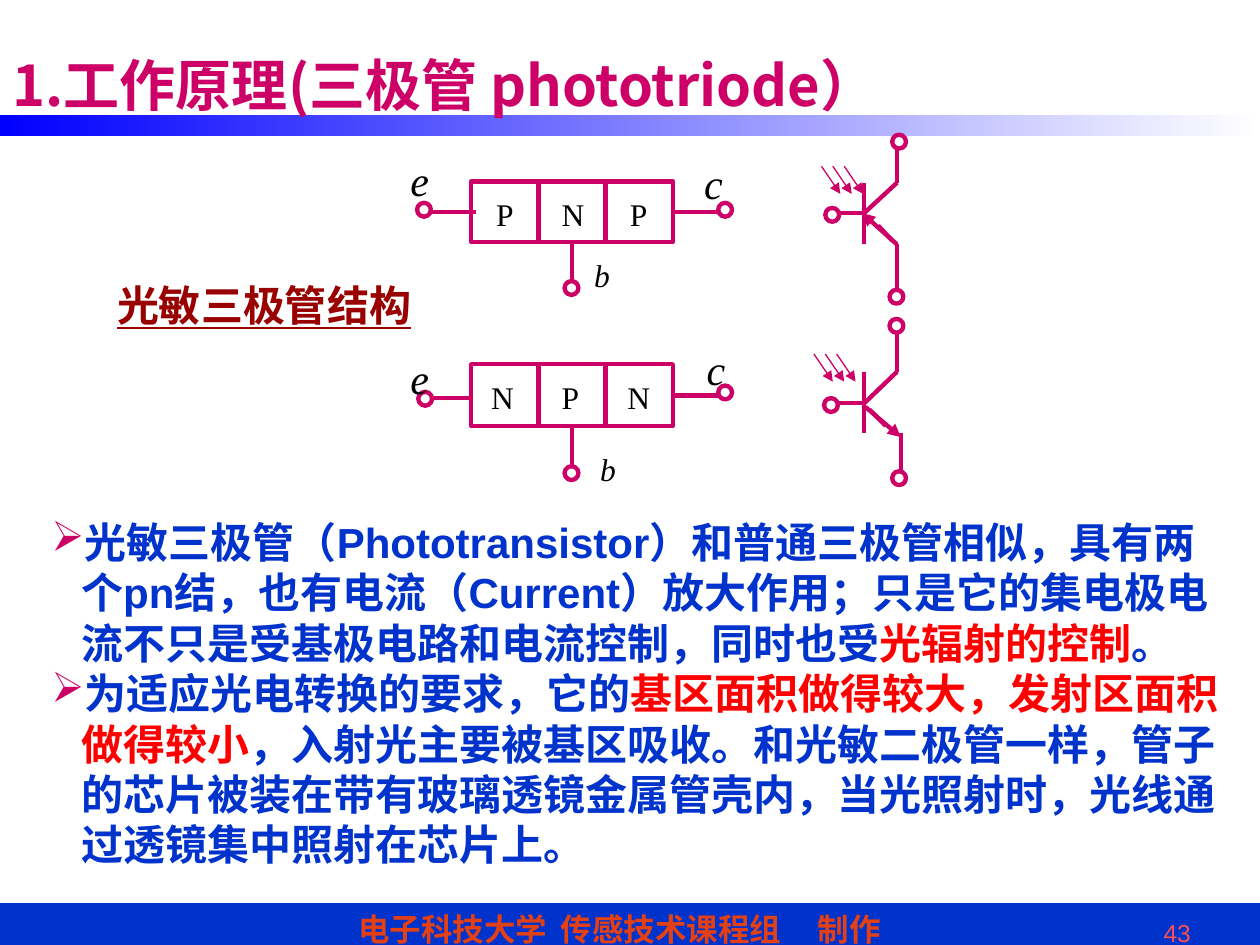
import pptx
import pptx.dml.color
import pptx.enum.shapes
import pptx.enum.text
import pptx.oxml.ns
import pptx.util
from lxml import etree

Pt = pptx.util.Pt
RGB = pptx.dml.color.RGBColor
SHAPE = pptx.enum.shapes.MSO_SHAPE
ANCHOR = pptx.enum.text.MSO_ANCHOR
ALIGN = pptx.enum.text.PP_ALIGN

MAGENTA = RGB(0xCC, 0x00, 0x66)
BLUE = RGB(0x00, 0x33, 0xCC)
BAR_BLUE = RGB(0x00, 0x00, 0xFF)
RED = RGB(0xFF, 0x00, 0x00)
DARK_RED = RGB(0x99, 0x00, 0x00)
ORANGE = RGB(0xE3, 0x41, 0x15)
CORAL = RGB(0xFF, 0x50, 0x50)
BLACK = RGB(0, 0, 0)
WHITE = RGB(0xFF, 0xFF, 0xFF)
SANS, SERIF, CHINESE = "Arial", "Times New Roman", "Noto Sans CJK SC"

TITLE = "1.工作原理(三极管 phototriode）"
STRUCTURE_LABEL = "光敏三极管结构"
FOOTER = "电子科技大学\t传感技术课程组\t制作"
FOOTER_TABS = (116, 262.8)
PAGE = "43"
BODY = [
    [("光敏三极管（Phototransistor）和普通三极管相似，具有两个pn结，也有电流（Current）放大作用；"
      "只是它的集电极电流不只是受基极电路和电流控制，同时也受", BLUE),
     ("光辐射的控制", RED), ("。", BLUE)],
    [("为适应光电转换的要求，它的", BLUE),
     ("基区面积做得较大，发射区面积做得较小", RED),
     ("，入射光主要被基区吸收。和光敏二极管一样，管子的芯片被装在带有玻璃透镜金属管壳内，"
      "当光照射时，光线通过透镜集中照射在芯片上。", BLUE)],
]

# Layer blocks: top, height, and (letter, left) for each layer
BLOCK_LEFT, LAYER_WIDTH = 269.3, 38.4
BLOCKS = [
    (103.7, 34.6, [("P", 276.5), ("N", 313.9), ("P", 352.8)]),
    (208.1, 35.3, [("N", 273.6), ("P", 313.9), ("N", 351.4)]),
]
# Terminal letters: text, left, top, size
TERMINALS = [
    ("e", 227.5, 85, 24), ("c", 395.3, 86.4, 24), ("b", 332.5, 142.6, 18),
    ("e", 227.5, 198, 24), ("c", 396.7, 193, 24), ("b", 335.9, 253.4, 18),
]
# Wires: x1, y1, x2, y2
WIRES = [
    (384.5, 121, 410.4, 121), (272.2, 121, 239, 121), (326.9, 138.3, 326.9, 162),
    (384.5, 226.1, 410.4, 226.1), (269.3, 227.5, 244.1, 227.5), (326.9, 243.4, 326.9, 267.1),
    # upper transistor symbol
    (501.8, 128.9, 509.8, 137.5), (493.9, 104.4, 493.9, 139.7), (493.9, 121.7, 512.6, 104.4),
    (512.6, 104.4, 512.6, 78.5), (512.6, 165.6, 512.6, 139.7), (493.9, 121.7, 474.5, 121.7),
    # lower transistor symbol
    (506.2, 243.4, 496.8, 234), (493.9, 212.4, 493.9, 247.7), (493.9, 230.4, 512.6, 212.4),
    (512.6, 212.4, 512.6, 186.5), (514.8, 274.3, 514.8, 247.7), (493.9, 230.4, 474.5, 230.4),
]
EMITTER_ARROWS = [(512.6, 139.7, 492.5, 121.7), (494.6, 232.6, 514.8, 249.8)]
# Light rays: left and top of the first ray of each trio
RAY_STARTS = [(469.4, 95), (465.1, 202.3)]
RAY_GAP, RAY_WIDTH, RAY_HEIGHT = 6.5, 10.8, 15.8
# Terminal rings: left, top
RING_SIZE = 7.9
RINGS = [
    (410.4, 115.9), (238.3, 115.9), (322.6, 160.6),
    (410.4, 220.3), (239, 223.9), (322.6, 266.4),
    (509.8, 77), (508.3, 165.6), (471.6, 118.8),
    (508.3, 182.2), (509.8, 269.3), (470.9, 227.5),
]


def add_element(parent, tag, **attributes):
    element = etree.SubElement(parent, pptx.oxml.ns.qn(tag))
    for name, value in attributes.items():
        element.set(name, str(value))
    return element


def write_text(shape, paragraphs, *, size, color=BLACK, font=SANS, bold=False, italic=False,
               underline=False, align=ALIGN.LEFT, anchor=ANCHOR.TOP, wrap=True,
               inset_left=7.2, line_spacing=None, bullet=None, hanging=0, tabs=()):
    """Fill a shape; paragraphs is a string or a list of lists of (text, color)."""
    if isinstance(paragraphs, str):
        paragraphs = [[(paragraphs, color)]]
    frame = shape.text_frame
    frame.word_wrap = wrap
    frame.auto_size = pptx.enum.text.MSO_AUTO_SIZE.NONE
    frame.vertical_anchor = anchor
    frame.margin_left, frame.margin_right = Pt(inset_left), Pt(7.2)
    frame.margin_top = frame.margin_bottom = Pt(3.6)
    for index, runs in enumerate(paragraphs):
        paragraph = frame.add_paragraph() if index else frame.paragraphs[0]
        paragraph.alignment = align
        if line_spacing:
            paragraph.line_spacing = Pt(line_spacing)
        properties = paragraph._p.get_or_add_pPr()
        if bullet:
            properties.set("marL", str(Pt(hanging)))
            properties.set("indent", str(-Pt(hanging)))
            add_element(add_element(properties, "a:buClr"), "a:srgbClr", val=MAGENTA)
            add_element(properties, "a:buChar", char=bullet)
        if tabs:
            tab_list = add_element(properties, "a:tabLst")
            for position in tabs:
                add_element(tab_list, "a:tab", pos=Pt(position), algn="l")
        for text, run_color in runs:
            run = paragraph.add_run()
            run.text = text
            run.font.size, run.font.name = Pt(size), font
            run.font.bold, run.font.italic, run.font.underline = bold, italic, underline
            run.font.color.rgb = run_color
            add_element(run.font._element, "a:ea", typeface=CHINESE)


def add_text(slide, paragraphs, left, top, width, height, **text_format):
    box = slide.shapes.add_textbox(Pt(left), Pt(top), Pt(width), Pt(height))
    write_text(box, paragraphs, **text_format)


def add_shape(slide, kind, left, top, width, height, fill=None, line=None, line_width=2.5):
    shape = slide.shapes.add_shape(kind, Pt(left), Pt(top), Pt(width), Pt(height))
    shape.shadow.inherit = False
    if fill is None:
        shape.fill.background()
    else:
        shape.fill.solid()
        shape.fill.fore_color.rgb = fill
    if line is None:
        shape.line.fill.background()
    else:
        shape.line.color.rgb = line
        shape.line.width = Pt(line_width)
    return shape


def add_line(slide, x1, y1, x2, y2, width=2.5, arrow=False):
    line = slide.shapes.add_connector(
        pptx.enum.shapes.MSO_CONNECTOR.STRAIGHT, Pt(x1), Pt(y1), Pt(x2), Pt(y2))
    line.line.color.rgb = MAGENTA
    line.line.width = Pt(width)
    if arrow:
        add_element(line.line._get_or_add_ln(), "a:tailEnd", type="triangle")
    add_element(line._element.spPr, "a:effectLst")


def add_frame(slide):
    footer = add_shape(slide, SHAPE.RECTANGLE, 0, 516.2, 720, 28.8, BLUE, BLUE, 0.75)
    write_text(footer, FOOTER, size=18, color=ORANGE, bold=True, anchor=ANCHOR.MIDDLE,
               inset_left=204.6, tabs=FOOTER_TABS)
    bar = add_shape(slide, SHAPE.RECTANGLE, 0, 65.5, 720, 12.2)
    bar.fill.gradient()
    bar.fill.gradient_angle = 0
    for stop, color in zip(bar.fill.gradient_stops, (BAR_BLUE, WHITE)):
        stop.color.rgb = color
    add_text(slide, PAGE, 507.6, 521.3, 180, 18.7, size=14, color=CORAL, align=ALIGN.RIGHT)

    title = slide.shapes.title
    title.left, title.top, title.width, title.height = Pt(0), Pt(15.1), Pt(672.5), Pt(65.5)
    write_text(title, TITLE, size=32, color=MAGENTA, font=CHINESE, bold=True,
               anchor=ANCHOR.MIDDLE)
    title.element.getparent().append(title.element)  # in front of the bar


def add_diagram(slide):
    for top, height, layers in BLOCKS:
        add_shape(slide, SHAPE.RECTANGLE, BLOCK_LEFT, top, LAYER_WIDTH * len(layers), height,
                  line=MAGENTA)
        for index, (letter, left) in enumerate(layers):
            if index:
                x = BLOCK_LEFT + index * LAYER_WIDTH
                add_line(slide, x, top, x, top + height)
            add_text(slide, letter, left, top + 4.3, 30, 26, size=18, font=SERIF)
    for wire in WIRES:
        add_line(slide, *wire)
    for arrow in EMITTER_ARROWS:
        add_line(slide, *arrow, arrow=True)
    for left, top in RAY_STARTS:
        for index in range(3):
            x = left + index * RAY_GAP
            add_line(slide, x, top, x + RAY_WIDTH, top + RAY_HEIGHT, width=0.75, arrow=True)
    for left, top in RINGS:
        add_shape(slide, SHAPE.OVAL, left, top, RING_SIZE, RING_SIZE, WHITE, MAGENTA)
    for letter, left, top, size in TERMINALS:
        add_text(slide, letter, left, top, 42, 28, size=size, font=SERIF, italic=True)


def main():
    presentation = pptx.Presentation()
    presentation.slide_width, presentation.slide_height = Pt(720), Pt(540)
    slide = presentation.slides.add_slide(presentation.slide_layouts[5])
    add_frame(slide)
    add_text(slide, BODY, 22.3, 291.6, 683.3, 208.8, size=24, bold=True,
             line_spacing=28.8, bullet="➢", hanging=17)
    add_diagram(slide)
    add_text(slide, STRUCTURE_LABEL, 59.8, 154.8, 182.2, 38.9, size=24, color=DARK_RED,
             bold=True, underline=True, anchor=ANCHOR.MIDDLE, wrap=False)
    presentation.save("out.pptx")


if __name__ == "__main__":
    main()
